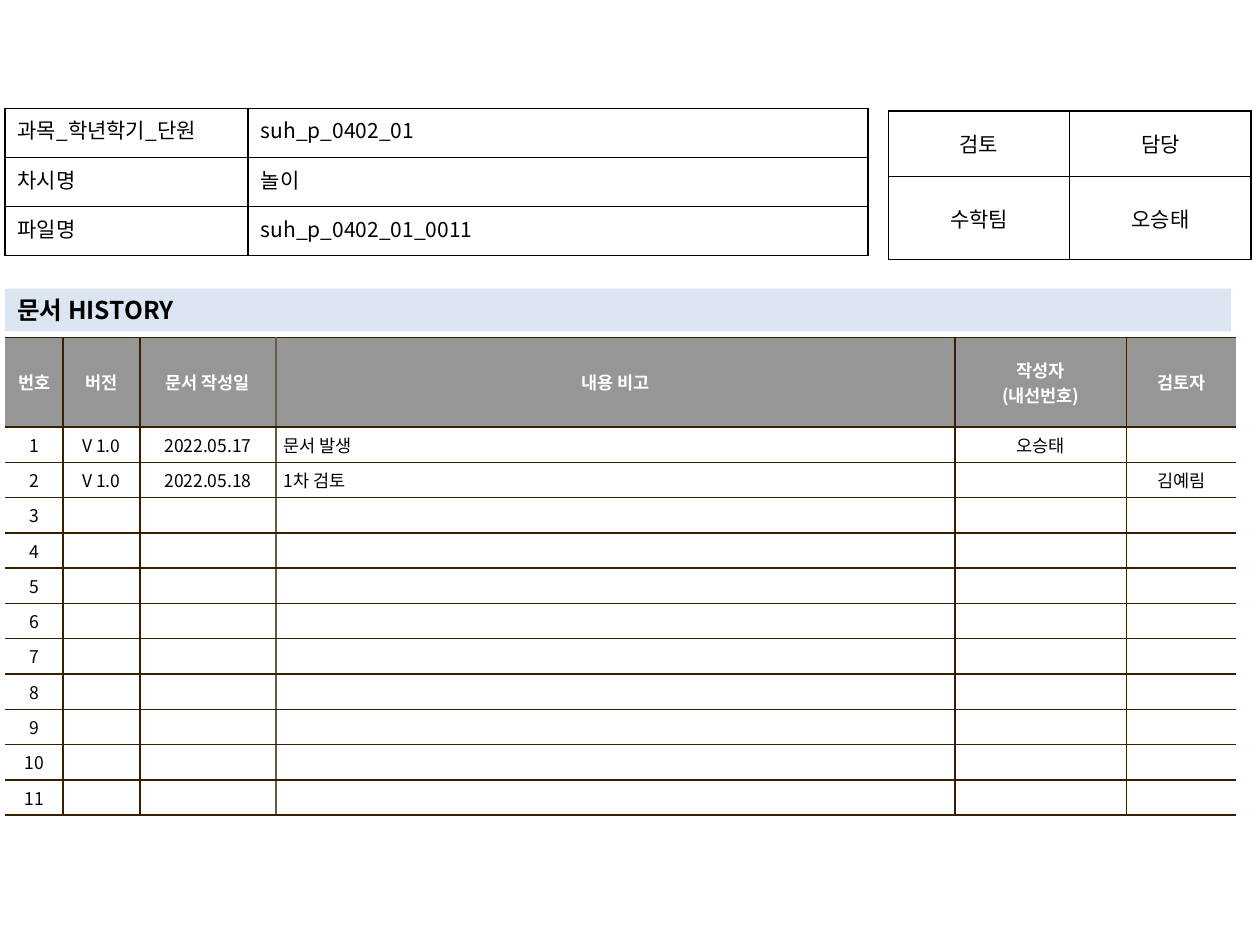
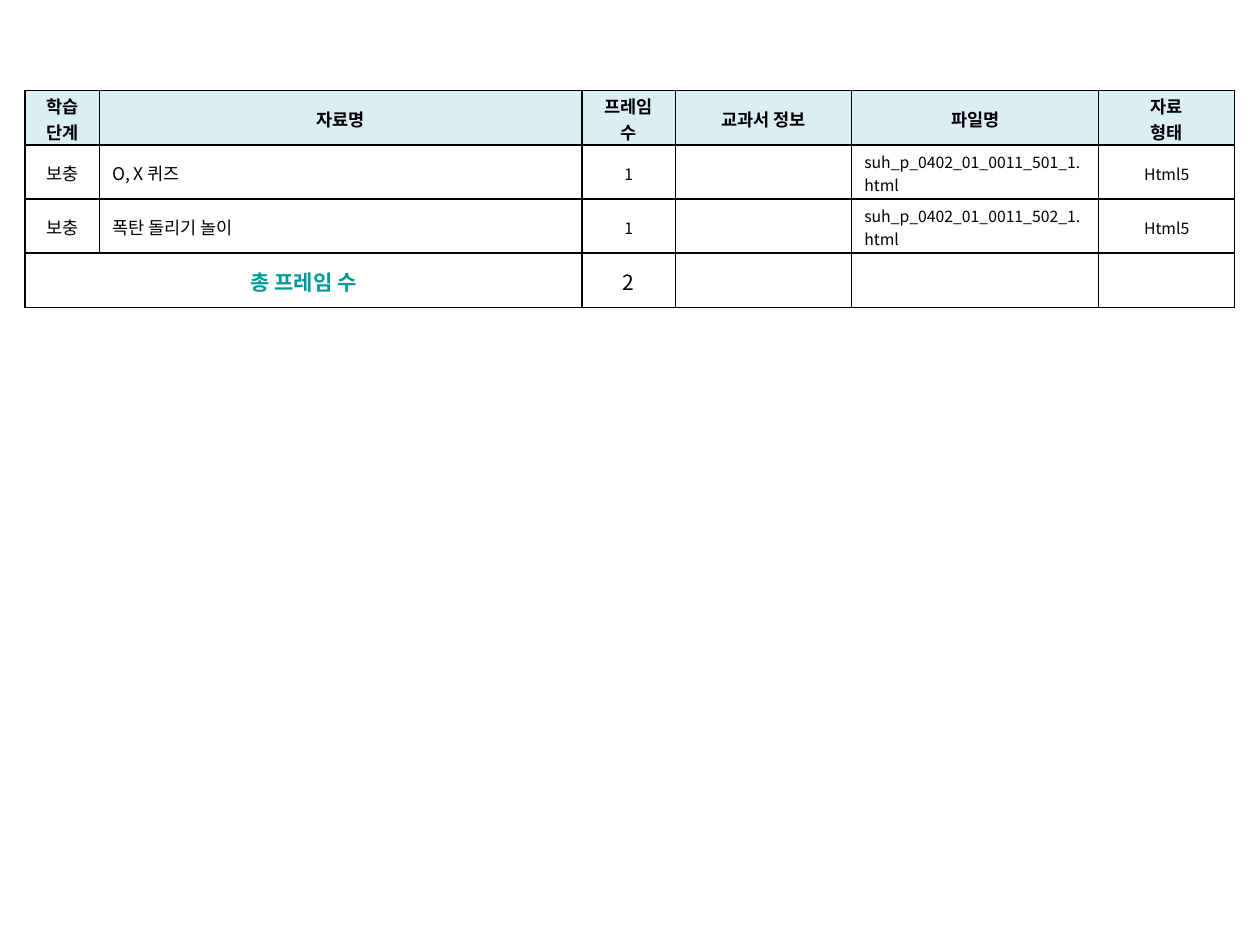
from dataclasses import dataclass, replace

from lxml import etree
from pptx import Presentation
from pptx.dml.color import RGBColor
from pptx.enum import shapes, text
from pptx.oxml.ns import qn
from pptx.util import Inches, Pt


@dataclass(frozen=True)
class Theme:
    font: str = "Noto Sans CJK KR"
    black: str = "000000"
    white: str = "FFFFFF"
    brown: str = "362000"
    light_brown: str = "645B4C"
    gray: str = "969696"
    pale_blue: str = "DCE6F2"
    pale_teal: str = "DBEEF4"
    teal: str = "009999"
    heading: int = 14
    large: int = 12
    normal: int = 10
    small: int = 9


THEME = Theme()
LEFT, CENTER, JUSTIFY = text.PP_ALIGN.LEFT, text.PP_ALIGN.CENTER, text.PP_ALIGN.JUSTIFY
TOP, MIDDLE = text.MSO_ANCHOR.TOP, text.MSO_ANCHOR.MIDDLE


@dataclass(frozen=True)
class CellStyle:
    size: int = THEME.normal
    color: str = THEME.black
    bold: bool = False
    align: int = CENTER
    anchor: int = MIDDLE
    fill: str = THEME.white
    margins: tuple = (0.1, 0.05, 0.1, 0.05)  # left, top, right, bottom


def format_paragraph(paragraph, style):
    paragraph.alignment = style.align
    font = paragraph.font
    font.size, font.bold, font.name = Pt(style.size), style.bold, THEME.font
    font.color.rgb = RGBColor.from_string(style.color)
    defaults = paragraph._p.pPr.find(qn("a:defRPr"))
    etree.SubElement(defaults, qn("a:ea"), typeface=THEME.font)
    if not paragraph.runs:  # keeps an empty row as low as a filled one
        etree.SubElement(paragraph._p, qn("a:endParaRPr"), sz=str(style.size * 100))


def format_cell(cell, content, style):
    cell.text = content
    cell.vertical_anchor = style.anchor
    (cell.margin_left, cell.margin_top,
     cell.margin_right, cell.margin_bottom) = map(Inches, style.margins)
    cell.fill.solid()
    cell.fill.fore_color.rgb = RGBColor.from_string(style.fill)
    for paragraph in cell.text_frame.paragraphs:
        format_paragraph(paragraph, style)


def set_borders(cell, left, right, top, bottom):
    """Give each side a 1 pt line of its colour, or no line for None."""
    properties = cell._tc.get_or_add_tcPr()
    sides = zip(("a:lnL", "a:lnR", "a:lnT", "a:lnB"), (left, right, top, bottom))
    for position, (tag, color) in enumerate(sides):
        line = etree.Element(qn(tag), w=str(Pt(1)))
        if color:
            fill = etree.SubElement(line, qn("a:solidFill"))
            etree.SubElement(fill, qn("a:srgbClr"), val=color)
        else:
            etree.SubElement(line, qn("a:noFill"))
        properties.insert(position, line)


def add_table(slide, left, top, widths, heights, rows, style_of, line, verticals=None):
    """style_of(row, column) styles a cell; verticals colours the column edges.

    A None in rows joins the cell to the one on its left.
    """
    frame = slide.shapes.add_table(len(heights), len(widths), Inches(left), Inches(top),
                                   Inches(sum(widths)), Inches(sum(heights)))
    table = frame.table
    table.first_row = table.horz_banding = False
    for column, width in zip(table.columns, widths):
        column.width = Inches(width)
    for row, height in zip(table.rows, heights):
        row.height = Inches(height)
    verticals = verticals or [line] * (len(widths) + 1)
    for r, contents in enumerate(rows):
        for c, content in enumerate(contents):
            cell = table.cell(r, c)
            if content is None:
                table.cell(r, c - 1).merge(cell)
                continue
            format_cell(cell, content, style_of(r, c))
            set_borders(cell, verticals[c], verticals[c + 1], line, line)


def add_heading_band(slide, content):
    band = slide.shapes.add_shape(shapes.MSO_SHAPE.RECTANGLE, Inches(0.04), Inches(2.29),
                                  Inches(9.73), Inches(0.34))
    band.shadow.inherit = False
    band.fill.solid()
    band.fill.fore_color.rgb = RGBColor.from_string(THEME.pale_blue)
    band.line.fill.background()
    frame = band.text_frame
    frame.word_wrap = True
    frame.vertical_anchor = MIDDLE
    frame.text = content
    format_paragraph(frame.paragraphs[0],
                     CellStyle(size=THEME.heading, bold=True, align=LEFT))


def add_file_table(slide):
    rows = [("과목_학년학기_단원", "suh_p_0402_01"),
            ("차시명", "놀이"),
            ("파일명", "suh_p_0402_01_0011")]
    label = CellStyle(size=THEME.large, align=JUSTIFY, anchor=TOP)
    value = replace(label, align=LEFT)
    add_table(slide, 0.04, 0.86, [1.93, 4.92], [0.39] * 3, rows,
              lambda r, c: value if c else label, THEME.black)


def add_review_table(slide):
    style = CellStyle(size=THEME.large)
    add_table(slide, 7.05, 0.88, [1.44, 1.44], [0.52, 0.66],
              [("검토", "담당"), ("수학팀", "오승태")], lambda r, c: style, THEME.black)


def add_history_table(slide):
    header = ("번호", "버전", "문서 작성일", "내용 비고", "작성자\n(내선번호)", "검토자")
    entries = [("V 1.0", "2022.05.17", "문서 발생", "오승태", ""),
               ("V 1.0", "2022.05.18", "1차 검토", "", "김예림")]
    entries += [("",) * 5] * 9
    rows = [header] + [(str(n), *entry) for n, entry in enumerate(entries, 1)]
    body = CellStyle(margins=(0.06, 0.04, 0.06, 0.04))
    note = replace(body, align=LEFT)
    head = replace(body, color=THEME.white, bold=True, fill=THEME.gray)

    def style_of(row, column):
        if row == 0:
            return head
        return note if column == 3 else body

    brown = THEME.brown
    add_table(slide, 0.04, 2.68, [0.46, 0.61, 1.08, 5.39, 1.36, 0.87],
              [0.71] + [0.28] * len(entries), rows, style_of, brown,
              [None, brown, brown, THEME.light_brown, brown, brown, None])


def add_frame_table(slide):
    rows = [("학습 단계", "자료명", "프레임 수", "교과서 정보", "파일명", "자료\n형태"),
            ("보충", "O, X 퀴즈", "1", "", "suh_p_0402_01_0011_501_1.html", "Html5"),
            ("보충", "폭탄 돌리기 놀이", "1", "", "suh_p_0402_01_0011_502_1.html", "Html5"),
            ("총 프레임 수", None, "2", "", "", "")]
    body = CellStyle(margins=(0.1, 0.02, 0.1, 0))
    head = replace(body, bold=True, fill=THEME.pale_teal)
    total = replace(body, size=THEME.large)
    total_label = replace(total, color=THEME.teal, bold=True)

    def style_of(row, column):
        if row == 0:
            return head
        if row == len(rows) - 1:
            return total if column else total_label
        return replace(body, size=THEME.small if column >= 2 else THEME.normal,
                       align=LEFT if column in (1, 4) else CENTER)

    add_table(slide, 0.2, 0.72, [0.59, 3.83, 0.74, 1.4, 1.96, 1.08], [0.43] * 4,
              rows, style_of, THEME.black)


def main():
    presentation = Presentation()
    presentation.slide_width, presentation.slide_height = Inches(10), Inches(7.5)
    blank = presentation.slide_layouts[6]

    history_slide = presentation.slides.add_slide(blank)
    add_history_table(history_slide)
    add_review_table(history_slide)
    add_heading_band(history_slide, "문서 HISTORY")
    add_file_table(history_slide)

    add_frame_table(presentation.slides.add_slide(blank))
    presentation.save("out.pptx")


if __name__ == "__main__":
    main()
